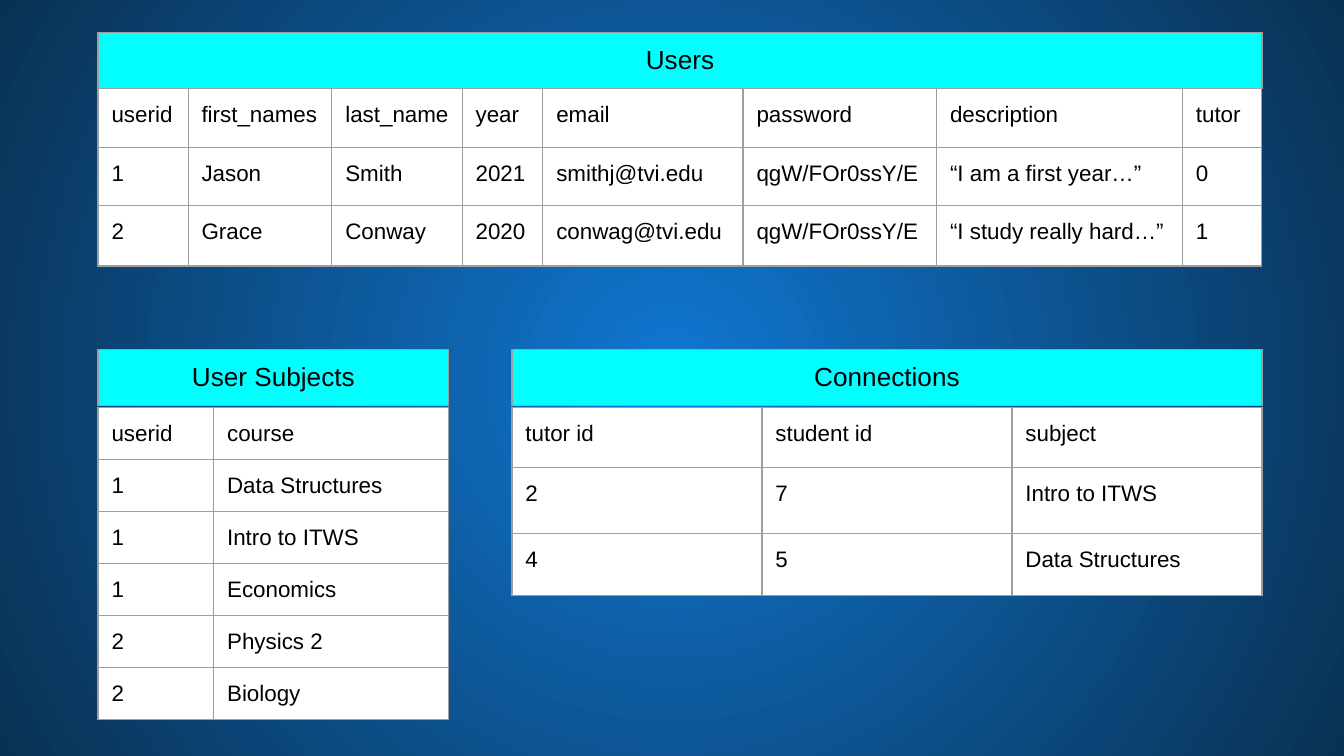
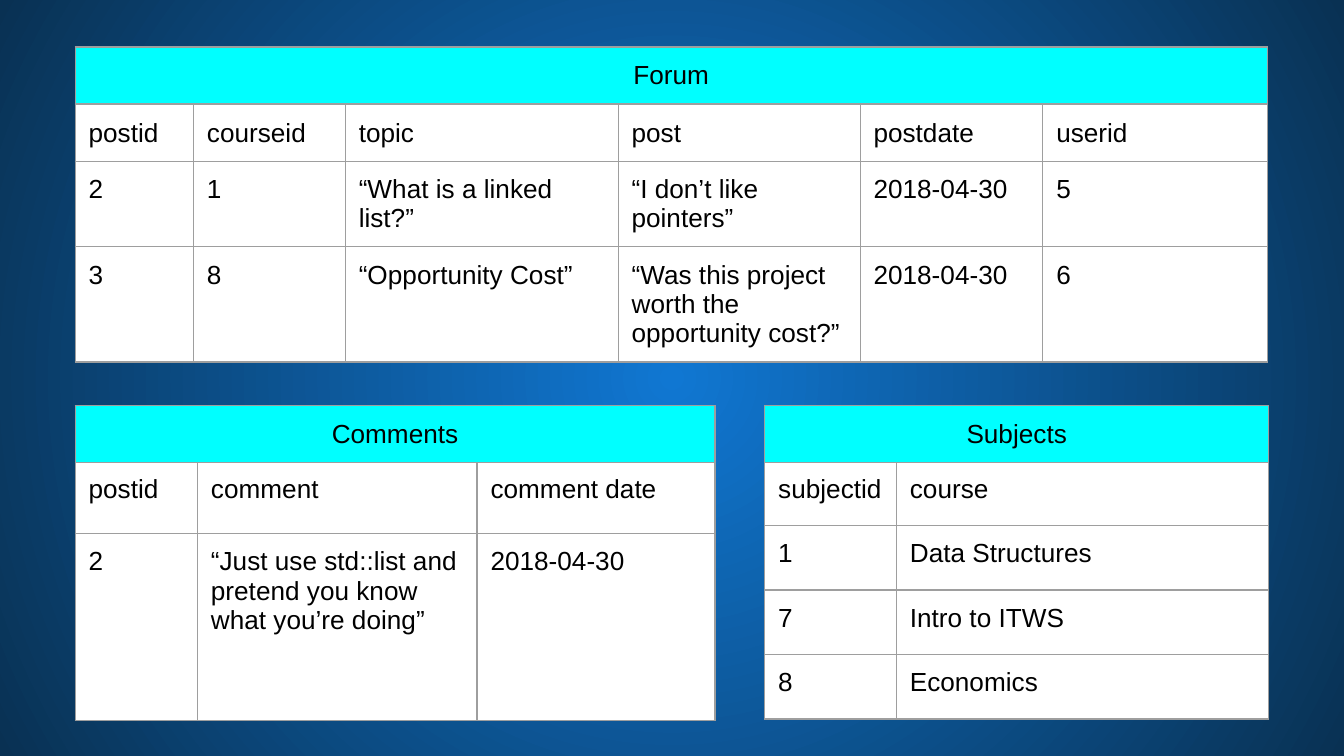
from pptx import Presentation
from pptx.dml.color import RGBColor
from pptx.enum.text import PP_ALIGN
from pptx.oxml import parse_xml
from pptx.oxml.ns import nsdecls
from pptx.util import Inches, Pt

COLORS = {"glow": "1077D2", "edge": "093153", "title": "00FFFF",
          "cell": "FFFFFF", "border": "9E9E9E", "text": "000000"}
FONT = "Arial"
TITLE_SIZE = 14
MARGIN = 0.1
BORDER_PT = 0.75

# Content: each slide has a body text size and its database tables
SLIDES = [
    {"size": 12, "tables": [
        {"title": "Users", "left": 0.73, "title_top": 0.24, "top": 0.66, "title_height": 0.42,
         "cols": [0.67, 1.07, 0.97, 0.6, 1.49, 1.44, 1.83, 0.59],
         "heights": [0.44, 0.43, 0.45],
         "rows": [
             ["userid", "first_names", "last_name", "year", "email",
              "password", "description", "tutor"],
             ["1", "Jason", "Smith", "2021", "smithj@tvi.edu",
              "qgW/FOr0ssY/E", "“I am a first year…”", "0"],
             ["2", "Grace", "Conway", "2020", "conwag@tvi.edu",
              "qgW/FOr0ssY/E", "“I study really hard…”", "1"]]},
        {"title": "User Subjects", "left": 0.73, "title_top": 2.6, "top": 3.03, "title_height": 0.37,
         "cols": [0.86, 1.75],
         "heights": [0.37] * 6,
         "rows": [["userid", "course"], ["1", "Data Structures"],
                  ["1", "Intro to ITWS"], ["1", "Economics"],
                  ["2", "Physics 2"], ["2", "Biology"]]},
        {"title": "Connections", "left": 3.81, "title_top": 2.6, "top": 3.03, "title_height": 0.42,
         "cols": [1.86] * 3,
         "heights": [0.45, 0.49, 0.46],
         "rows": [["tutor id", "student id", "subject"],
                  ["2", "7", "Intro to ITWS"],
                  ["4", "5", "Data Structures"]]},
    ]},
    {"size": 14, "tables": [
        {"title": "Forum", "left": 0.56, "title_top": 0.35, "top": 0.78, "title_height": 0.41,
         "cols": [0.88, 1.13, 2.03, 1.8, 1.36, 1.67],
         "heights": [0.42] * 3,
         "rows": [
             ["postid", "courseid", "topic", "post", "postdate", "userid"],
             ["2", "1", "“What is a linked list?”", "“I don’t like pointers”",
              "2018-04-30", "5"],
             ["3", "8", "“Opportunity Cost”",
              "“Was this project worth the opportunity cost?”",
              "2018-04-30", "6"]]},
        {"title": "Comments", "left": 0.56, "title_top": 3.02, "top": 3.43, "title_height": 0.42,
         "cols": [0.91, 2.08, 1.77],
         "heights": [0.54, 1.39],
         "rows": [["postid", "comment", "comment date"],
                  ["2", "“Just use std::list and pretend you know what you’re doing”",
                   "2018-04-30"]]},
        {"title": "Subjects", "left": 5.69, "title_top": 3.02, "top": 3.43, "title_height": 0.42,
         "cols": [0.98, 2.77],
         "heights": [0.48] * 4,
         "rows": [["subjectid", "course"], ["1", "Data Structures"],
                  ["7", "Intro to ITWS"], ["8", "Economics"]]},
    ]},
]


def set_background(s):
    """Radial gradient from the slide centre outwards."""
    stops = "".join(
        f'<a:gs pos="{pos}"><a:srgbClr val="{COLORS[name]}"/></a:gs>'
        for pos, name in ((0, "glow"), (100000, "edge")))
    s.element.cSld.insert(0, parse_xml(
        f'<p:bg {nsdecls("p", "a")}><p:bgPr><a:gradFill><a:gsLst>{stops}</a:gsLst>'
        '<a:path path="circle"><a:fillToRect l="50000" t="50000" r="50000" b="50000"/></a:path>'
        '</a:gradFill><a:effectLst/></p:bgPr></p:bg>'))


def set_borders(cell):
    # Border lines must precede the fill in the cell properties
    tc_pr = cell._tc.get_or_add_tcPr()
    for i, side in enumerate("LRTB"):
        tc_pr.insert(i, parse_xml(
            f'<a:ln{side} {nsdecls("a")} w="{Pt(BORDER_PT)}"><a:solidFill>'
            f'<a:srgbClr val="{COLORS["border"]}"/></a:solidFill></a:ln{side}>'))


def format_cell(cell, text, fill, size, align):
    for side in ("left", "right", "top", "bottom"):
        setattr(cell, f"margin_{side}", Inches(MARGIN))
    cell.fill.solid()
    cell.fill.fore_color.rgb = RGBColor.from_string(COLORS[fill])
    set_borders(cell)
    p = cell.text_frame.paragraphs[0]
    p.alignment = align
    r = p.add_run()
    r.text = text
    for name, value in {"name": FONT, "size": Pt(size)}.items():
        setattr(r.font, name, value)
    r.font.color.rgb = RGBColor.from_string(COLORS["text"])


def add_grid(s, left, top, cols, heights, rows, fill, size, align=PP_ALIGN.LEFT):
    table = s.shapes.add_table(
        len(rows), len(cols), Inches(left), Inches(top),
        Inches(sum(cols)), Inches(sum(heights))).table
    table.first_row = table.horz_banding = False
    for column, width in zip(table.columns, cols):
        column.width = Inches(width)
    for row, height, texts in zip(table.rows, heights, rows):
        row.height = Inches(height)
        for cell, text in zip(row.cells, texts):
            format_cell(cell, text, fill, size, align)


def main():
    prs = Presentation()
    prs.slide_width = Inches(10)
    prs.slide_height = Inches(10 * 9 / 16)
    for content in SLIDES:
        s = prs.slides.add_slide(prs.slide_layouts[6])
        set_background(s)
        # Table bodies
        for t in content["tables"]:
            add_grid(s, t["left"], t["top"], t["cols"], t["heights"], t["rows"],
                     "cell", content["size"])
        # Title bands, as wide as the bodies and in front of them
        for t in content["tables"]:
            add_grid(s, t["left"], t["title_top"], [sum(t["cols"])], [t["title_height"]],
                     [[t["title"]]], "title", TITLE_SIZE, PP_ALIGN.CENTER)
    prs.save("out.pptx")


if __name__ == "__main__":
    main()
